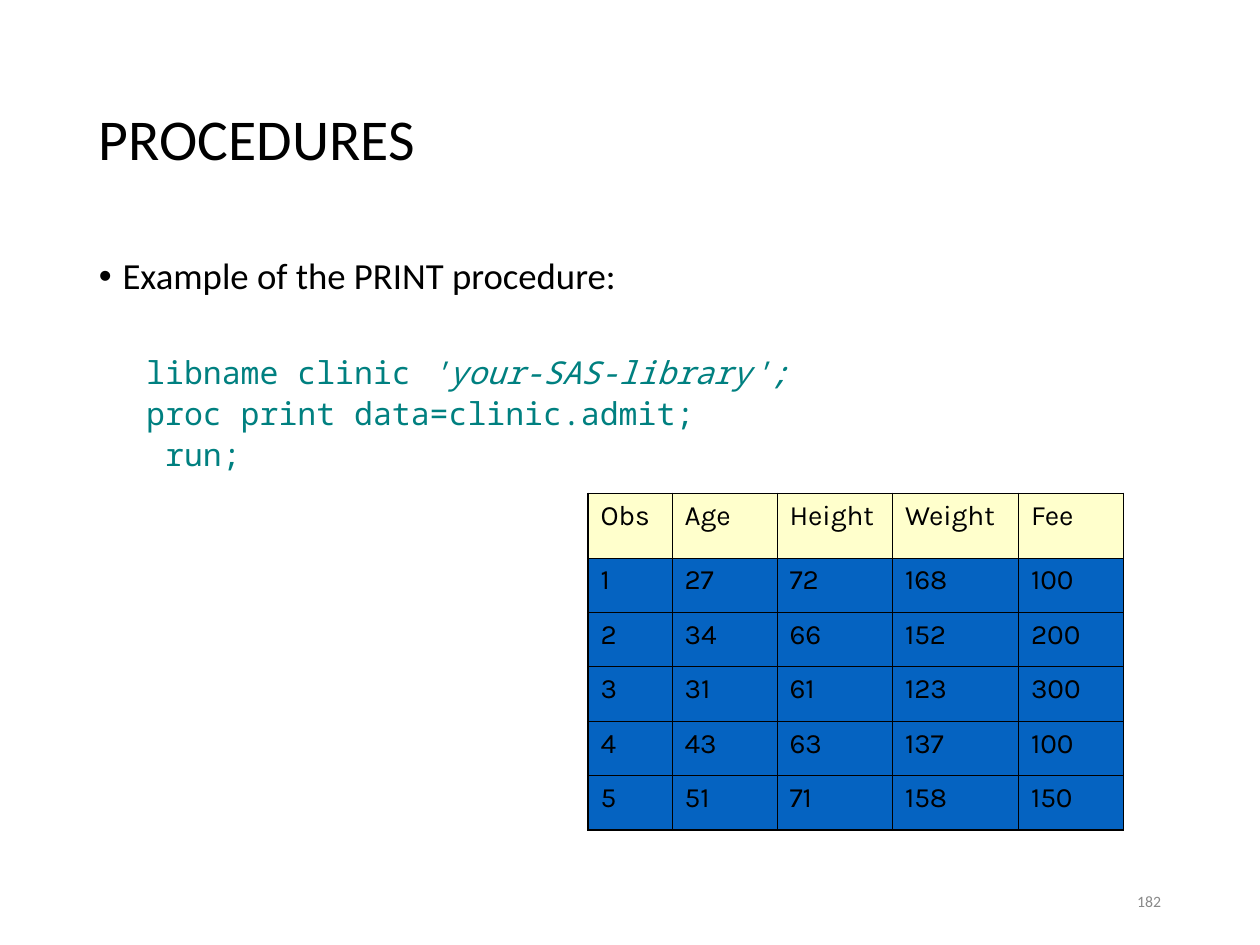
from lxml.etree import SubElement as Sub
from pptx import Presentation
from pptx.dml.color import RGBColor as Rgb
from pptx.enum.text import MSO_ANCHOR as Anchor, PP_ALIGN as Align
from pptx.oxml.ns import qn
from pptx.util import Pt

COLORS = {"ink": "000000", "code": "008080", "page": "898989",
          "head": "FFFFCC", "body": "0563C1"}
TEXT, MONO, GRID = "Calibri", "Noto Sans Mono", "Karla"
CODE = [
    [("libname clinic ", False), ("'your-SAS-library';", True)],
    [("proc print data=clinic.admit;", False)],
    [(" run;", False)],
]
ROWS = [
    ("Obs", "Age", "Height", "Weight", "Fee"),
    (1, 27, 72, 168, 100),
    (2, 34, 66, 152, 200),
    (3, 31, 61, 123, 300),
    (4, 43, 63, 137, 100),
    (5, 51, 71, 158, 150),
]
WIDTHS = (48, 60, 66, 72, 60)
HEAD_H, ROW_H = 36.8, 31.1
THIN, THICK = 0.45, 1.08


def style(run, size, font, color, italic=False):
    run.font.size = Pt(size)
    run.font.name = font
    run.font.italic = italic
    run.font.color.rgb = Rgb.from_string(COLORS[color])


def add_box(slide, left, top, width, height, anchor):
    box = slide.shapes.add_textbox(Pt(left), Pt(top), Pt(width), Pt(height))
    frame = box.text_frame
    frame.word_wrap = True
    frame.vertical_anchor = anchor
    return frame


def add_line(slide, area, text, size, color, align=Align.LEFT):
    frame = add_box(slide, *area, Anchor.MIDDLE)
    frame.text = text
    para = frame.paragraphs[0]
    para.alignment = align
    style(para.runs[0], size, TEXT, color)
    return para


def indent(para, left, hang):
    props = para._p.get_or_add_pPr()
    props.set("marL", str(Pt(left)))
    props.set("indent", str(-Pt(hang)))
    return props


def add_body(slide):
    frame = add_box(slide, 49.5, 144, 621, 342.75, Anchor.TOP)

    # Bulleted lead
    frame.text = "Example of the PRINT procedure:"
    lead = frame.paragraphs[0]
    props = indent(lead, 13.5, 13.5)
    Sub(props, qn("a:buFont"), typeface="Arial")
    Sub(props, qn("a:buChar"), char="•")
    lead.line_spacing = 0.9
    style(lead.runs[0], 21, TEXT, "ink")

    # Code, set apart from the lead by a wider gap
    for i, parts in enumerate(CODE):
        para = frame.add_paragraph()
        Sub(indent(para, 40.5, 13.5), qn("a:buNone"))
        para.line_spacing = 0.9
        para.space_before = Pt(3.7 if i else 34.2)
        for text, italic in parts:
            run = para.add_run()
            run.text = text
            style(run, 18, MONO, "code", italic)


def add_edge(cell, side, width):
    props = cell._tc.get_or_add_tcPr()
    line = Sub(props, qn("a:" + side), w=str(Pt(width)))
    fill = Sub(line, qn("a:solidFill"))
    Sub(fill, qn("a:srgbClr"), val=COLORS["ink"])


def add_grid(slide, left, top):
    count, span = len(ROWS), len(WIDTHS)
    height = HEAD_H + ROW_H * (count - 1)
    table = slide.shapes.add_table(count, span, Pt(left), Pt(top),
                                   Pt(sum(WIDTHS)), Pt(height)).table
    for col, width in zip(table.columns, WIDTHS):
        col.width = Pt(width)
    for r, values in enumerate(ROWS):
        table.rows[r].height = Pt(ROW_H if r else HEAD_H)
        for c, value in enumerate(values):
            cell = table.cell(r, c)
            cell.text = str(value)
            style(cell.text_frame.paragraphs[0].runs[0], 16, GRID, "ink")
            # Outer edges are thick, inner ones thin
            outer = {"lnL": c == 0, "lnR": c == span - 1,
                     "lnT": r == 0, "lnB": r == count - 1}
            for side, thick in outer.items():
                add_edge(cell, side, THICK if thick else THIN)
            cell.fill.solid()
            shade = COLORS["body" if r else "head"]
            cell.fill.fore_color.rgb = Rgb.from_string(shade)


def main():
    deck = Presentation()
    deck.slide_width, deck.slide_height = Pt(720), Pt(540)
    slide = deck.slides.add_slide(deck.slide_layouts[6])

    # Title
    title = add_line(slide, (49.5, 28.75, 621, 104.4), "PROCEDURES", 33, "ink")
    title.line_spacing = 0.9

    # Lead, code and printed result
    add_body(slide)
    add_grid(slide, 336, 282)

    # Page number
    add_line(slide, (508.5, 500.5, 162, 28.75), "182", 9, "page", Align.RIGHT)
    deck.save("out.pptx")


if __name__ == "__main__":
    main()
